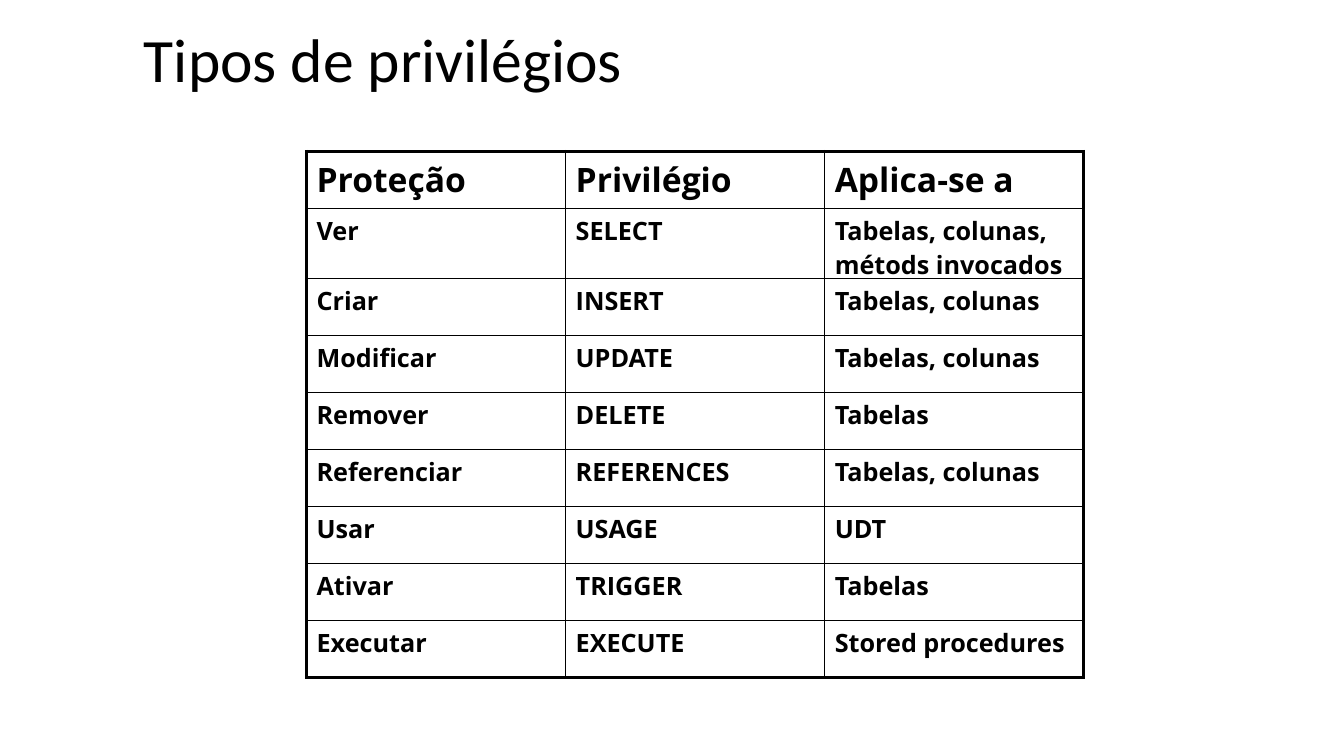
from pptx import Presentation
from pptx.dml.color import RGBColor
from pptx.enum.text import MSO_ANCHOR as Anchor
from pptx.oxml.ns import qn
from pptx.util import Inches, Pt
from lxml.etree import SubElement

BLACK = RGBColor(0, 0, 0)
OUTER_LINE, INNER_LINE = Pt(2.25), Pt(1)

PRIVILEGES = [
    ("Proteção", "Privilégio", "Aplica-se a"),
    ("Ver", "SELECT", "Tabelas, colunas, métods invocados"),
    ("Criar", "INSERT", "Tabelas, colunas"),
    ("Modificar", "UPDATE", "Tabelas, colunas"),
    ("Remover", "DELETE", "Tabelas"),
    ("Referenciar", "REFERENCES", "Tabelas, colunas"),
    ("Usar", "USAGE", "UDT"),
    ("Ativar", "TRIGGER", "Tabelas"),
    ("Executar", "EXECUTE", "Stored procedures"),
]


def format_text(para, font_name, size, bold=False):
    for span in para.runs:
        span.font.name = font_name
        span.font.size = Pt(size)
        span.font.bold = bold
        span.font.color.rgb = BLACK


def set_borders(cell, widths):
    """Draw the left, right, top and bottom lines, in that order."""
    properties = cell._tc.get_or_add_tcPr()
    for side, width in zip(("lnL", "lnR", "lnT", "lnB"), widths):
        line = SubElement(properties, qn(f"a:{side}"), w=str(width))
        fill = SubElement(line, qn("a:solidFill"))
        SubElement(fill, qn("a:srgbClr"), val=str(BLACK))


def add_title(page, left, top, width, height):
    box = page.shapes.add_textbox(left, top, width, height)
    frame = box.text_frame
    frame.word_wrap = True
    frame.vertical_anchor = Anchor.MIDDLE
    frame.text = "Tipos de privilégios"
    para = frame.paragraphs[0]
    para.line_spacing = 0.9
    format_text(para, "Calibri", 44)


def add_privilege_table(page, left, top, width, height):
    last_row, last_column = len(PRIVILEGES) - 1, len(PRIVILEGES[0]) - 1
    table = page.shapes.add_table(
        last_row + 1, last_column + 1, left, top, width, height).table
    table.horz_banding = False

    for row, texts in enumerate(PRIVILEGES):
        for column, text in enumerate(texts):
            cell = table.cell(row, column)
            cell.text = text
            format_text(cell.text_frame.paragraphs[0], "Open Sans",
                        24 if row == 0 else 18, bold=True)
            # Heavy lines on the outer edge, thin ones inside
            on_edge = (column == 0, column == last_column,
                       row == 0, row == last_row)
            set_borders(cell, [OUTER_LINE if edge else INNER_LINE
                               for edge in on_edge])
            cell.fill.background()


def main():
    deck = Presentation()
    deck.slide_width, deck.slide_height = Inches(13.33), Inches(7.5)
    page = deck.slides.add_slide(deck.slide_layouts[6])
    add_title(page, Inches(1.33), Inches(0), Inches(10.67), Inches(1.25))
    add_privilege_table(page, Inches(3.04), Inches(1.5),
                        Inches(7.71), Inches(5.09))
    deck.save("out.pptx")


if __name__ == "__main__":
    main()
